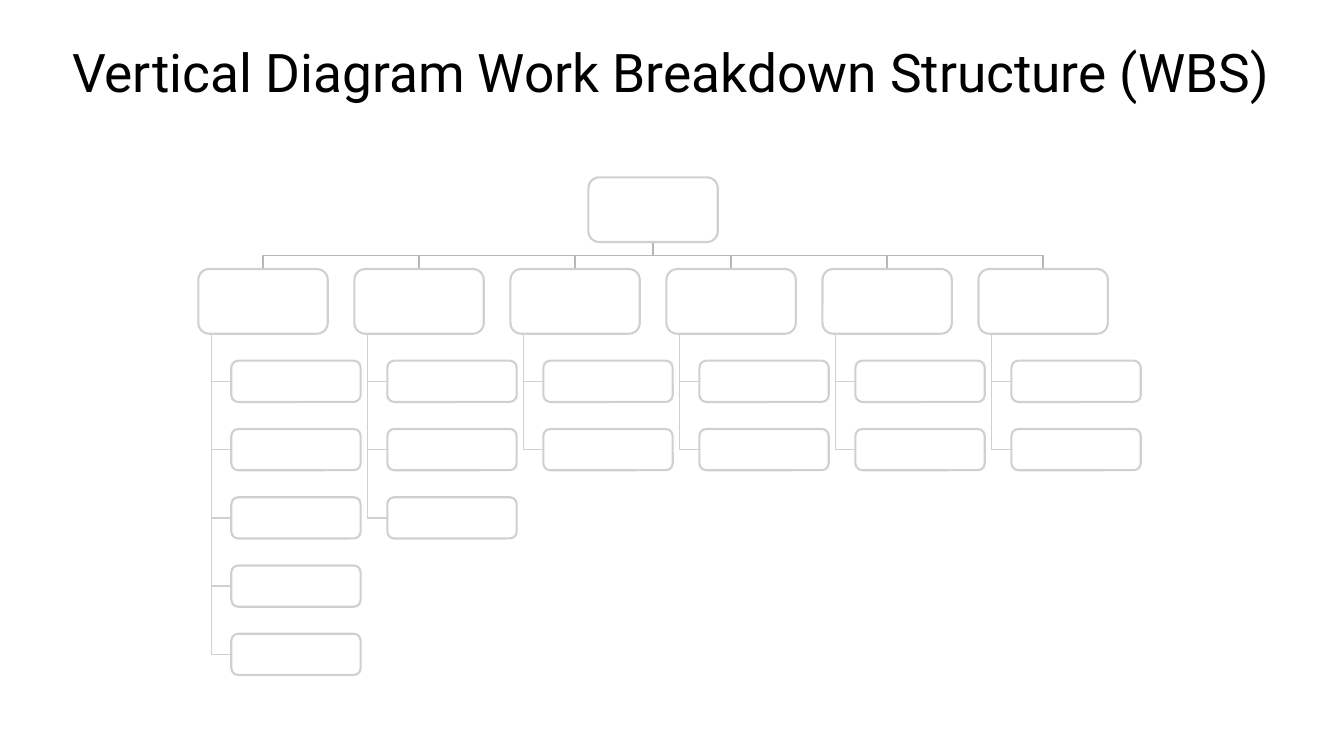
from pptx import Presentation
from pptx import util as u
from pptx.dml.color import RGBColor
from pptx.enum import shapes, text

WHITE = RGBColor(0xFF, 0xFF, 0xFF)
BLACK = RGBColor(0x00, 0x00, 0x00)
BOX_LINE = RGBColor(0xD0, 0xD0, 0xD0)
TRUNK_LINE = RGBColor(0xB6, 0xB6, 0xB6)

TITLE = "Vertical Diagram Work Breakdown Structure (WBS)"
TASK_COUNTS = [5, 3, 2, 2, 2, 2]

BOX_WIDTH, BOX_HEIGHT, TASK_HEIGHT = u.Cm(3.26), u.Cm(1.63), u.Cm(1.04)
LEVEL_GAP, TASK_GAP = u.Cm(0.68), u.Cm(0.68)
TASK_INDENT, SPINE_INDENT = u.Cm(0.83), u.Cm(0.33)


def set_attributes(target, values):
    """Set every attribute named in values on the target."""
    for name, value in values.items():
        setattr(target, name, value)


def add_title(slide, left, top, width, height):
    """Write the centred slide title in the given box."""
    frame = slide.shapes.add_textbox(left, top, width, height).text_frame
    set_attributes(frame, {
        "word_wrap": True, "vertical_anchor": text.MSO_ANCHOR.MIDDLE,
        "margin_left": 0, "margin_right": 0, "margin_top": 0, "margin_bottom": 0,
    })
    paragraph = frame.paragraphs[0]
    set_attributes(paragraph, {
        "text": TITLE, "alignment": text.PP_ALIGN.CENTER, "line_spacing": 0.9,
    })
    set_attributes(paragraph.font, {"name": "Roboto", "size": u.Pt(38)})
    paragraph.runs[0].font.color.rgb = BLACK


def add_box(group, left, top, height):
    """Draw one empty rounded box of the chart."""
    box = group.shapes.add_shape(
        shapes.MSO_SHAPE.ROUNDED_RECTANGLE, left, top, BOX_WIDTH, height)
    box.shadow.inherit = False
    box.fill.solid()
    box.fill.fore_color.rgb = WHITE
    box.line.color.rgb = BOX_LINE
    box.line.width = u.Pt(1.5)


def add_branch(group, points, color):
    """Draw an open elbow line through the points."""
    builder = group.shapes.build_freeform(*points[0])
    builder.add_line_segments(points[1:], close=False)
    branch = builder.convert_to_shape()
    branch.shadow.inherit = False
    branch.fill.background()
    branch.line.color.rgb = color
    branch.line.width = u.Pt(1)


def add_department(group, left, top, task_count):
    """Draw a department box with its tasks hanging from a spine."""
    bottom = top + BOX_HEIGHT
    spine = left + SPINE_INDENT
    task_left = left + TASK_INDENT
    for index in reversed(range(task_count)):
        task_top = bottom + TASK_GAP + index * (TASK_HEIGHT + TASK_GAP)
        middle = task_top + TASK_HEIGHT // 2
        add_branch(group, [(spine, bottom), (spine, middle), (task_left, middle)], BOX_LINE)
        add_box(group, task_left, task_top, TASK_HEIGHT)
    add_box(group, left, top, BOX_HEIGHT)


def add_breakdown(slide, left, top, width):
    """Draw the root box and evenly spaced departments across the width."""
    group = slide.shapes.add_group_shape()
    center = left + width // 2
    root_bottom = top + BOX_HEIGHT
    department_top = root_bottom + LEVEL_GAP
    trunk = root_bottom + LEVEL_GAP // 2
    pitch = (width - BOX_WIDTH) // (len(TASK_COUNTS) - 1)
    for index, task_count in enumerate(TASK_COUNTS):
        department_left = left + index * pitch
        middle = department_left + BOX_WIDTH // 2
        add_branch(group, [(center, root_bottom), (center, trunk),
                           (middle, trunk), (middle, department_top)], TRUNK_LINE)
        add_department(group, department_left, department_top, task_count)
    add_box(group, center - BOX_WIDTH // 2, top, BOX_HEIGHT)


def main():
    """Build and save the slide."""
    presentation = Presentation()
    set_attributes(presentation, {"slide_width": u.Cm(33.87), "slide_height": u.Cm(19.05)})
    slide = presentation.slides.add_slide(presentation.slide_layouts[6])
    add_title(slide, u.Cm(1.42), u.Cm(0.99), u.Cm(30.99), u.Cm(1.83))
    add_breakdown(slide, u.Cm(5), u.Cm(4.47), u.Cm(22.92))
    presentation.save("out.pptx")


if __name__ == "__main__":
    main()
